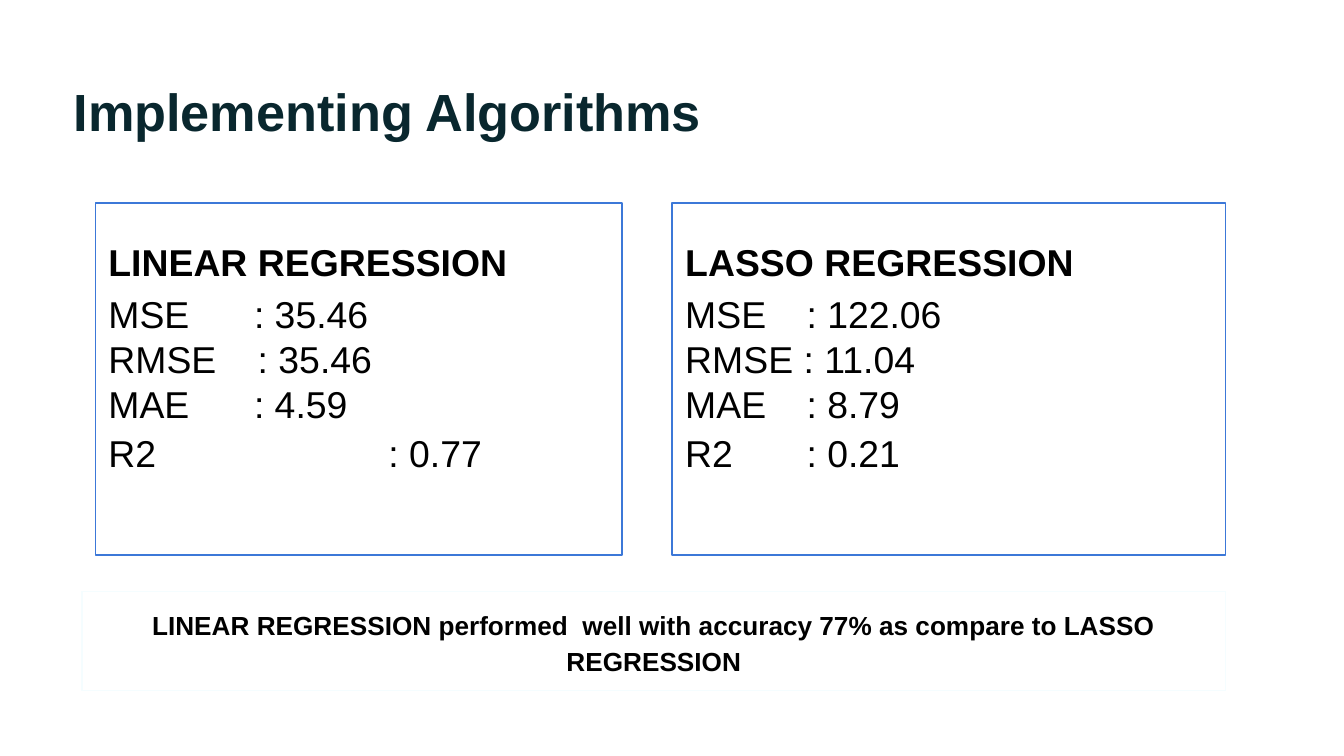
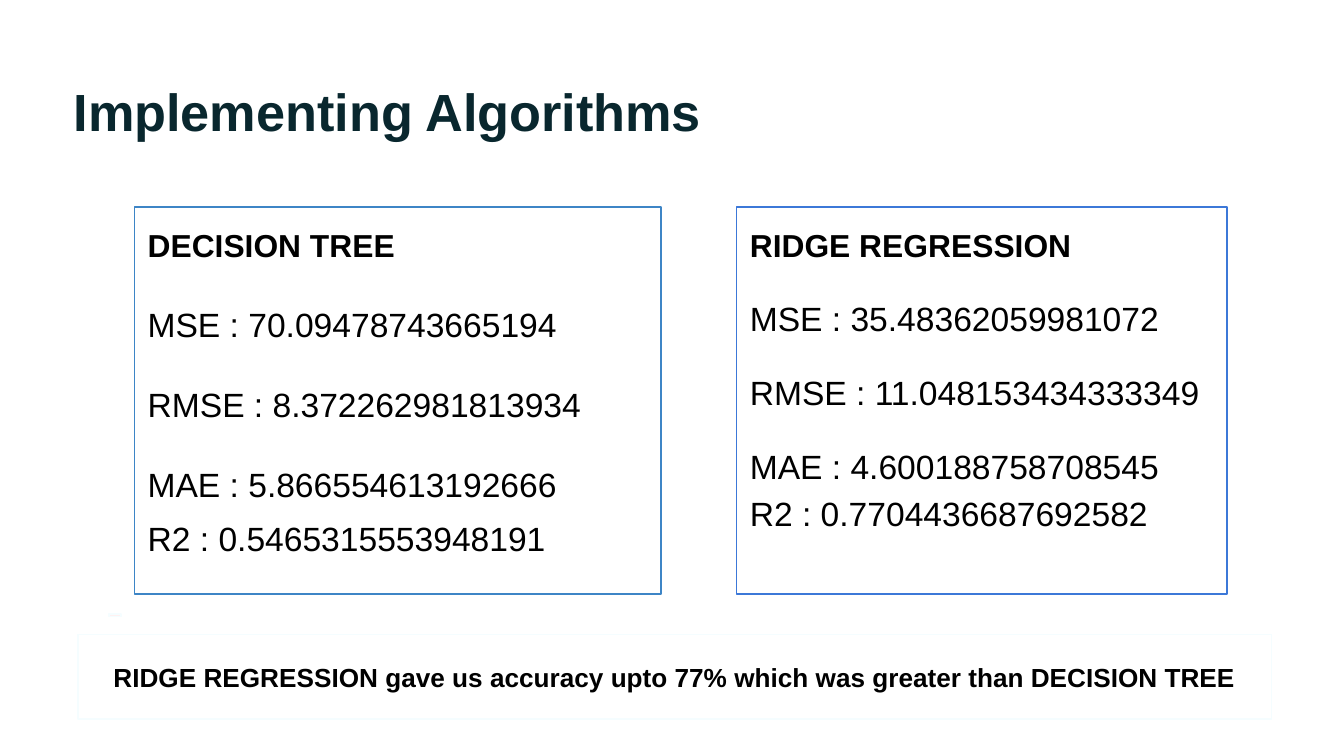
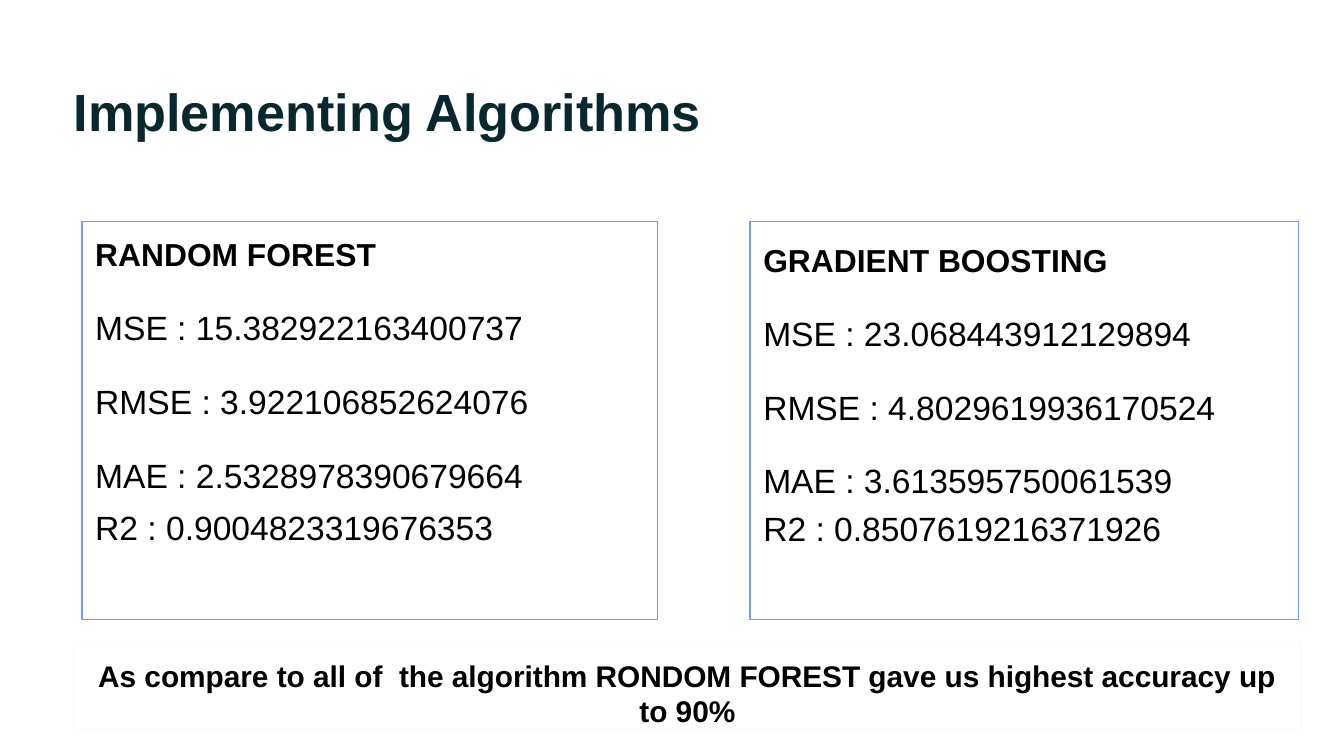
"""Build three slides that compare the scores of regression algorithms."""
from dataclasses import dataclass
from typing import Any, NamedTuple, Optional

from lxml import etree
from pptx import Presentation
from pptx.dml.color import RGBColor
from pptx.enum import shapes, text
from pptx.oxml import ns
from pptx import util as u

FONT = "Arial"
TITLE = "Implementing Algorithms"
INK = RGBColor(0x09, 0x27, 0x2E)
BLACK = RGBColor(0, 0, 0)
WHITE = RGBColor(0xFF, 0xFF, 0xFF)
ROYAL = RGBColor(0x3C, 0x78, 0xD8)
STEEL = RGBColor(0x3D, 0x85, 0xC6)
SKY = RGBColor(0x6D, 0x9E, 0xEB)
ICE = RGBColor(0xF5, 0xFD, 0xFF)
BLUSH = RGBColor(0xFF, 0xF1, 0xF1)
LEFT = text.PP_ALIGN.LEFT
CENTER = text.PP_ALIGN.CENTER
JUSTIFY = text.PP_ALIGN.JUSTIFY
TOP = text.MSO_ANCHOR.TOP
MIDDLE = text.MSO_ANCHOR.MIDDLE
METRICS = ("MSE", "RMSE", "MAE", "R2")
INSET = 7.2


class Area(NamedTuple):
    """Left, top, width and height in points."""

    left: float
    top: float
    width: float
    height: float


@dataclass(frozen=True)
class ScoreCard:
    """Framed scores of one algorithm."""

    area: Area
    border: RGBColor
    algorithm: str
    scores: tuple[str, ...]
    heading_size: float = 17
    heading_spacing: float = 1.15
    score_size: float = 18
    score_spacing: float = 1.0
    last_spacing: float = 1.0
    gaps: tuple[float, ...] = (18, 18, 18, 4)
    align: text.PP_ALIGN = LEFT
    colon_stops: tuple[Optional[float], ...] = (None,) * 4


@dataclass(frozen=True)
class Verdict:
    """Concluding sentence under the score cards."""

    area: Area
    sentence: str
    size: float = 14
    spacing: float = 1.0
    anchor: text.MSO_ANCHOR = MIDDLE


@dataclass(frozen=True)
class Comparison:
    """Content of one slide."""

    cards: tuple[ScoreCard, ...]
    verdict: Verdict
    dash: Optional[Area] = None


WIDE_GAPS = dict(heading_size=20, heading_spacing=1.5, score_size=20,
                 last_spacing=1.11, gaps=(4, 0, 0, 0), align=JUSTIFY)

COMPARISONS = (
    Comparison(
        (ScoreCard(Area(51, 108.7, 282.2, 188.6), ROYAL, "LINEAR REGRESSION",
                   ("35.46", "35.46", "4.59", "0.77"),
                   colon_stops=(78, 80, 78, 150), **WIDE_GAPS),
         ScoreCard(Area(360, 108.7, 296.6, 188.6), ROYAL, "LASSO REGRESSION",
                   ("122.06", "11.04", "8.79", "0.21"),
                   colon_stops=(65, None, 65, 65), **WIDE_GAPS)),
        Verdict(Area(43.9, 316.8, 612.7, 53.3),
                "LINEAR REGRESSION performed  well with accuracy 77% "
                "as compare to LASSO REGRESSION", spacing=1.15),
    ),
    Comparison(
        (ScoreCard(Area(72, 110.9, 282.2, 207.4), STEEL, "DECISION TREE",
                   ("70.09478743665194", "8.372262981813934",
                    "5.866554613192666", "0.5465315553948191"),
                   score_spacing=1.15, last_spacing=1.15, align=JUSTIFY),
         ScoreCard(Area(394.6, 110.9, 262.8, 207.4), ROYAL, "RIDGE REGRESSION",
                   ("35.48362059981072", "11.048153434333349",
                    "4.600188758708545", "0.7704436687692582"))),
        Verdict(Area(41.8, 339.8, 639.4, 45.4),
                "RIDGE REGRESSION gave us accuracy upto 77% "
                "which was greater than DECISION TREE"),
        Area(58.3, 329, 6.5, 1.4),
    ),
    Comparison(
        (ScoreCard(Area(43.9, 118.8, 308.2, 213.1), SKY, "RANDOM FOREST",
                   ("15.382922163400737", "3.922106852624076",
                    "2.5328978390679664", "0.9004823319676353"),
                   heading_spacing=1.0, last_spacing=1.11),
         ScoreCard(Area(401.8, 118.8, 293.8, 213.1), SKY, "GRADIENT BOOSTING",
                   ("23.068443912129894", "4.8029619936170524",
                    "3.613595750061539", "0.8507619216371926"))),
        Verdict(Area(39.6, 344.9, 657.4, 45.4),
                "As compare to all of  the algorithm RONDOM FOREST "
                "gave us highest accuracy up to 90%", size=16, anchor=TOP),
    ),
)


def apply(target: Any, values: dict[str, Any]) -> None:
    """Set each named attribute of the target."""
    for name, value in values.items():
        setattr(target, name, value)


def prepare_frame(frame: Any, anchor: text.MSO_ANCHOR, left: float = INSET) -> None:
    """Give a text frame its wrapping, anchor and insets."""
    apply(frame, {
        "word_wrap": True, "vertical_anchor": anchor,
        "margin_left": u.Pt(left), "margin_right": u.Pt(INSET),
        "margin_top": u.Pt(INSET), "margin_bottom": u.Pt(INSET),
    })


def write_line(paragraph: Any, words: str, size: float, bold: bool = True,
               color: RGBColor = BLACK, align: text.PP_ALIGN = LEFT,
               spacing: float = 1.0, before: float = 0) -> None:
    """Fill one paragraph with a single formatted run."""
    apply(paragraph, {"alignment": align, "line_spacing": spacing,
                      "space_before": u.Pt(before)})
    run = paragraph.add_run()
    run.text = words
    apply(run.font, {"name": FONT, "size": u.Pt(size), "bold": bold})
    run.font.color.rgb = color


def add_tab_stop(paragraph: Any, position: float) -> None:
    """Place a left tab stop in a paragraph."""
    properties = paragraph._p.get_or_add_pPr()
    stops = etree.SubElement(properties, ns.qn("a:tabLst"))
    etree.SubElement(stops, ns.qn("a:tab"), pos=str(u.Pt(position)), algn="l")


def add_frame(slide: Any, area: Area, border: RGBColor, fill: RGBColor = WHITE) -> Any:
    """Draw a thin bordered rectangle."""
    frame = slide.shapes.add_shape(shapes.MSO_SHAPE.RECTANGLE, *map(u.Pt, area))
    frame.shadow.inherit = False
    frame.fill.solid()
    frame.fill.fore_color.rgb = fill
    frame.line.color.rgb = border
    frame.line.width = u.Pt(0.75)
    return frame


def add_title(slide: Any) -> None:
    """Write the shared slide title."""
    heading = slide.shapes.add_textbox(*map(u.Pt, Area(24.5, 35.3, 671, 45.4)))
    prepare_frame(heading.text_frame, TOP, left=15)
    write_line(heading.text_frame.paragraphs[0], TITLE, 28, color=INK)


def add_card(slide: Any, card: ScoreCard) -> None:
    """Draw one algorithm with its four scores."""
    body = add_frame(slide, card.area, card.border).text_frame
    prepare_frame(body, TOP)
    write_line(body.paragraphs[0], card.algorithm, card.heading_size,
               spacing=card.heading_spacing, before=18)
    rows = zip(METRICS, card.scores, card.gaps, card.colon_stops)
    for metric, score, gap, stop in rows:
        row = body.add_paragraph()
        spacing = card.last_spacing if metric == METRICS[-1] else card.score_spacing
        separator = "\t" if stop else " "
        write_line(row, f"{metric}{separator}: {score}", card.score_size, bold=False,
                   align=card.align, spacing=spacing, before=gap)
        if stop:
            add_tab_stop(row, stop)


def add_verdict(slide: Any, verdict: Verdict) -> None:
    """Draw the concluding sentence."""
    body = add_frame(slide, verdict.area, ICE).text_frame
    prepare_frame(body, verdict.anchor)
    write_line(body.paragraphs[0], verdict.sentence, verdict.size,
               align=CENTER, spacing=verdict.spacing)


def main() -> None:
    """Build and save the presentation."""
    deck = Presentation()
    apply(deck, {"slide_width": u.Pt(720), "slide_height": u.Pt(405)})
    for comparison in COMPARISONS:
        slide = deck.slides.add_slide(deck.slide_layouts[6])
        add_title(slide)
        for card in comparison.cards:
            add_card(slide, card)
        if comparison.dash:
            add_frame(slide, comparison.dash, ICE, BLUSH)
        add_verdict(slide, comparison.verdict)
    deck.save("out.pptx")


if __name__ == "__main__":
    main()
